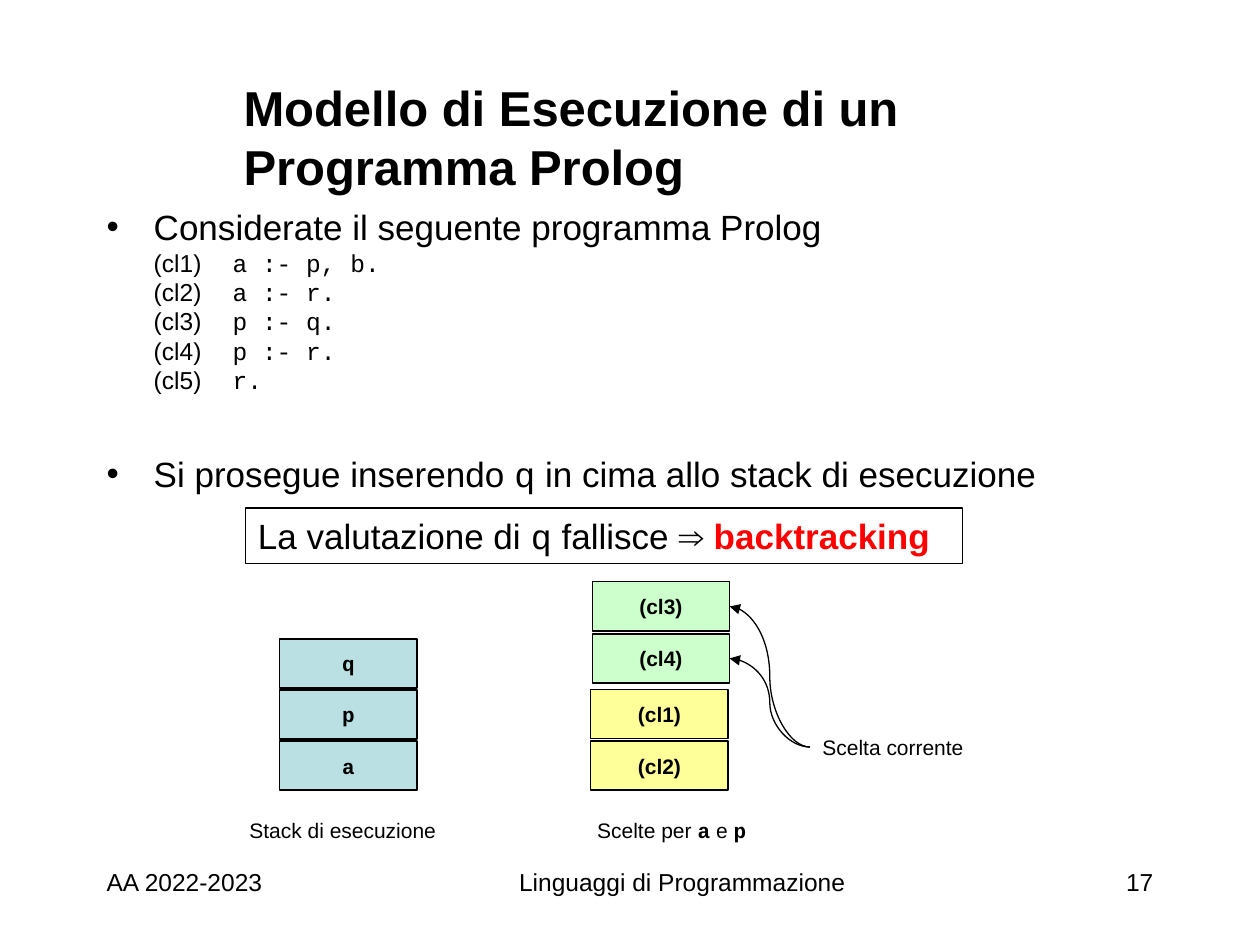
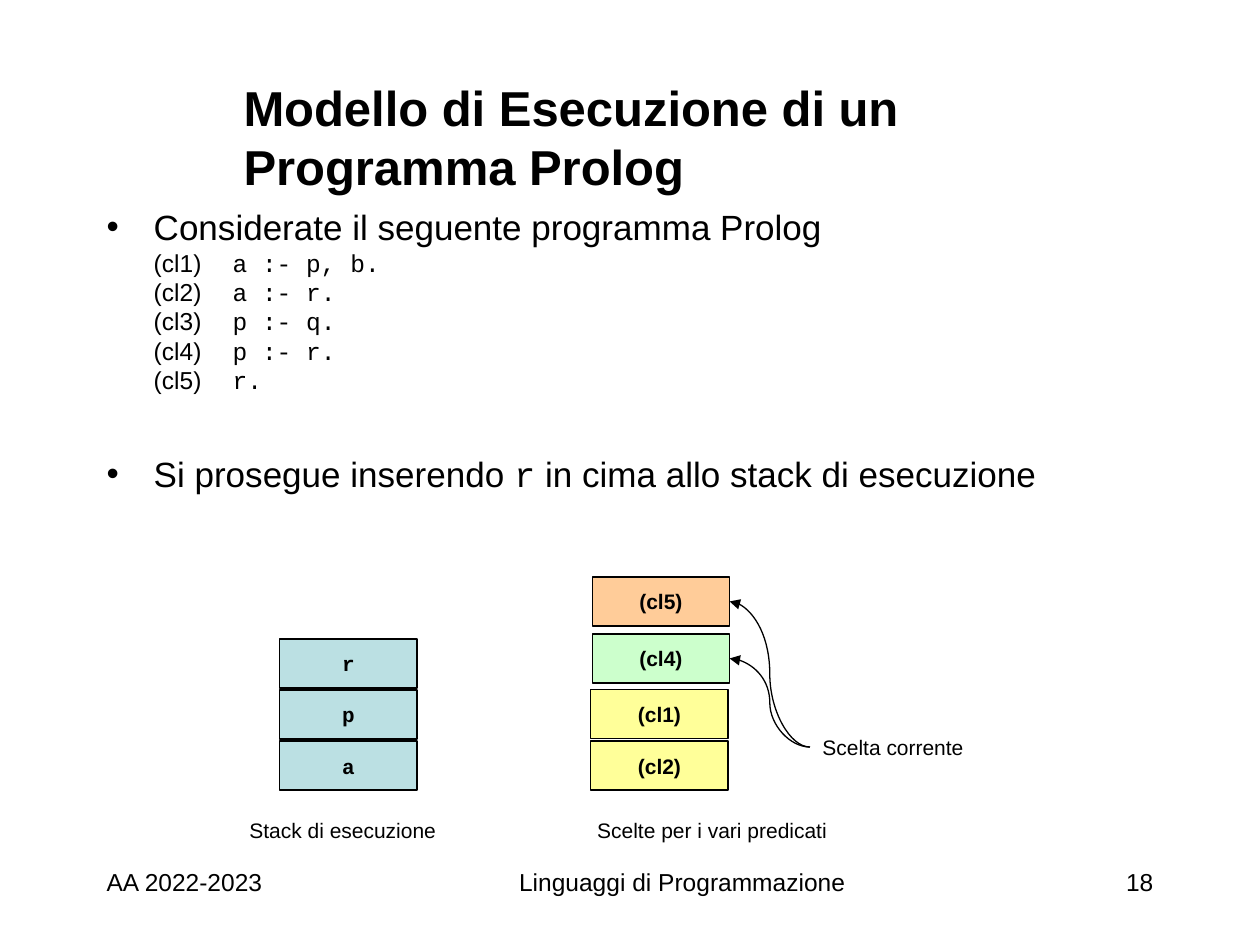
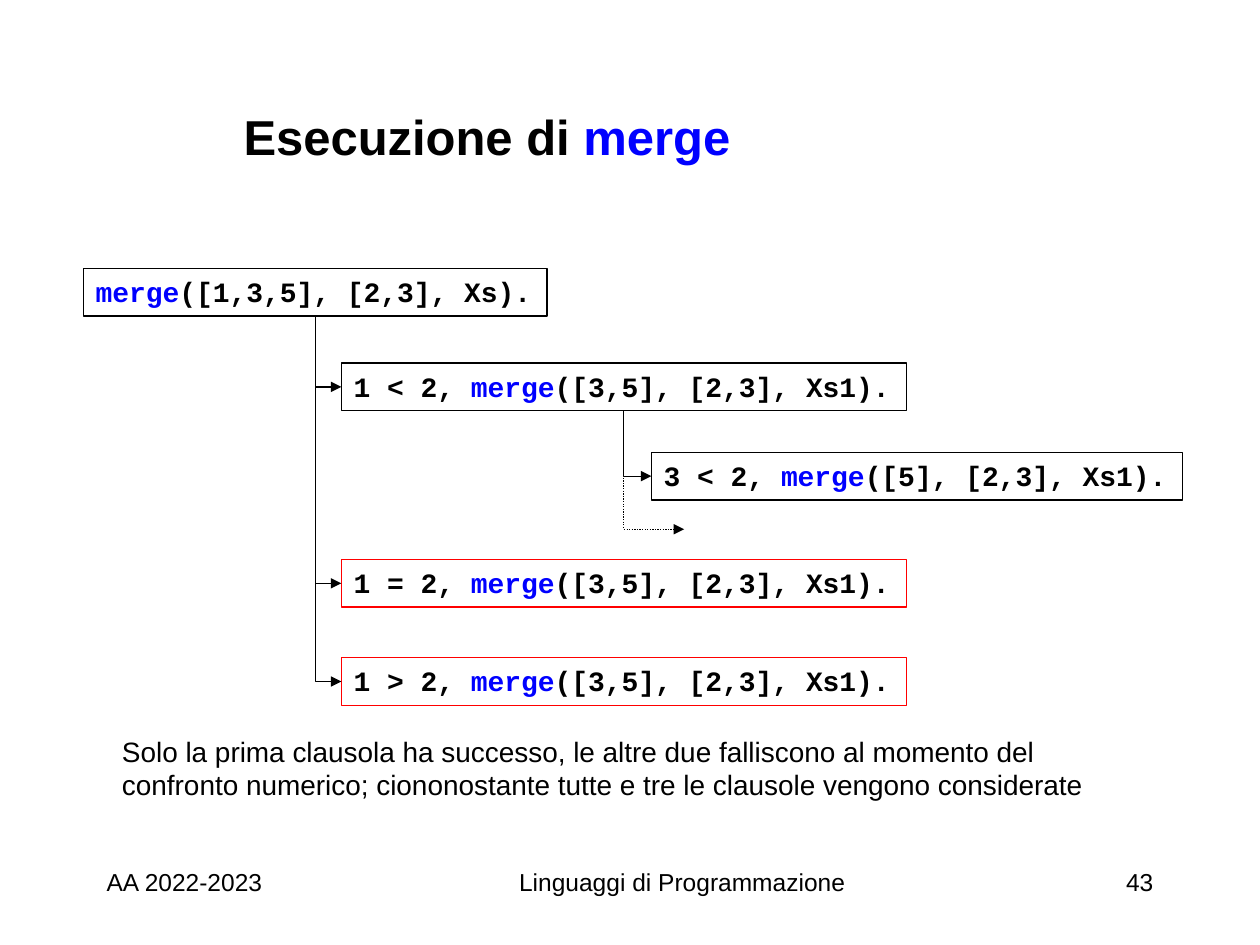
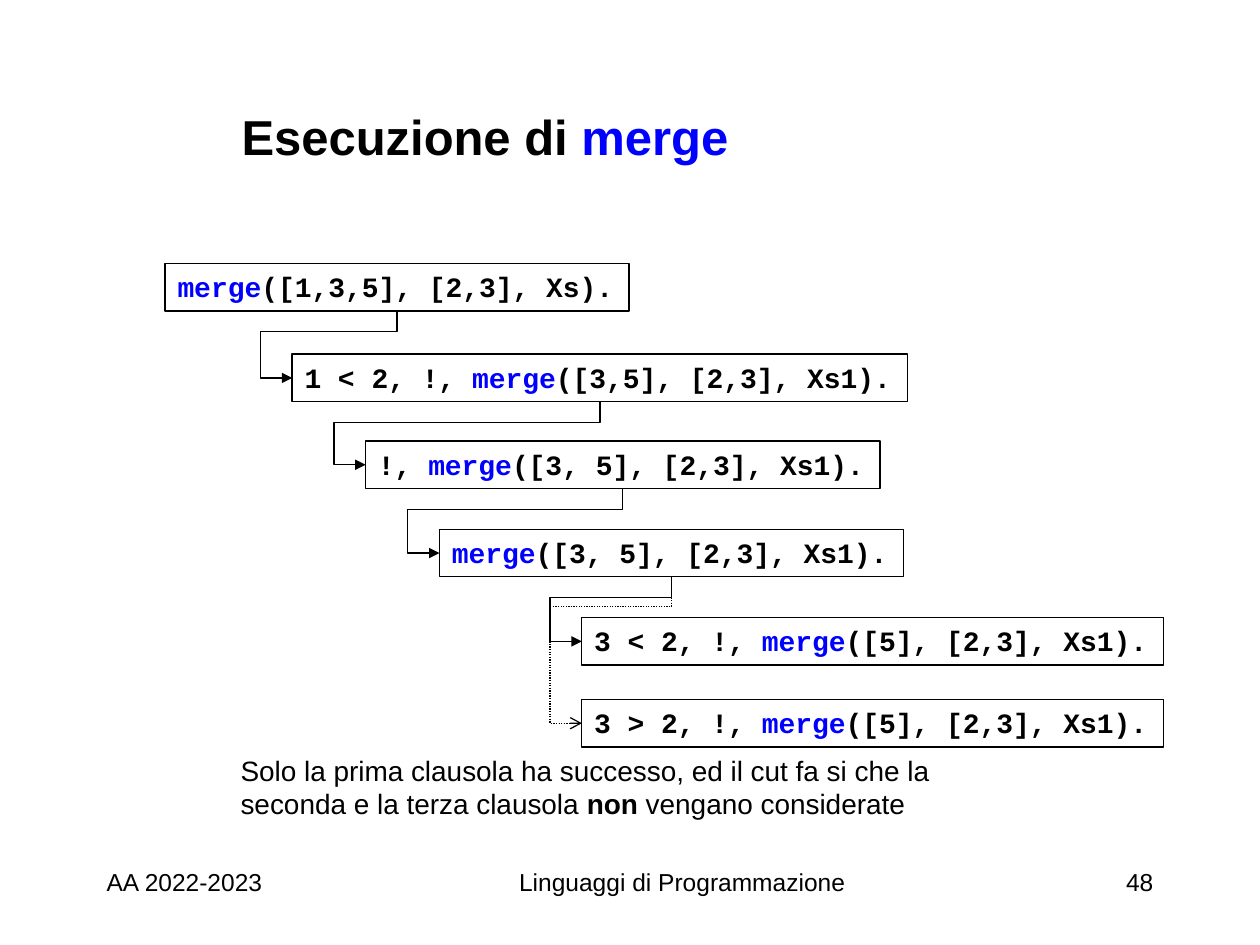
from dataclasses import dataclass

from lxml.etree import SubElement
from pptx import Presentation
from pptx.dml.color import RGBColor
from pptx.enum.dml import MSO_LINE
from pptx.enum.shapes import MSO_CONNECTOR as CONN, MSO_SHAPE as SHAPE
from pptx.enum.text import MSO_ANCHOR as ANCHOR, PP_ALIGN as ALIGN
from pptx.oxml.ns import qn
from pptx.util import Cm, Pt


@dataclass(frozen=True)
class Theme:
    sans: str = "Arial"
    mono: str = "Courier New"
    black: str = "000000"
    red: str = "FF0000"
    blue: str = "0000FF"
    goal: str = "BBE0E3"
    yellow: str = "FFFF99"
    green: str = "CCFFCC"
    orange: str = "FFCC99"
    title: int = 28
    body: int = 20
    code: int = 16
    small: int = 14
    label: int = 12
    line: float = 0.75


T = Theme()
MONO = {"font": T.mono}
MONO_BOLD = {"font": T.mono, "bold": True}
MERGE = ("merge", {"color": T.blue})


def bottom(s):
    """Middle of the lower edge, in cm."""
    return (s.left + s.width / 2) / Cm(1), (s.top + s.height) / Cm(1)


def left(s):
    return s.left / Cm(1), (s.top + s.height / 2) / Cm(1)


def right(s):
    return (s.left + s.width) / Cm(1), (s.top + s.height / 2) / Cm(1)


class Deck:
    """Holds the style and the current slide; all lengths are in cm."""

    def __init__(self, theme):
        self.t = theme
        self.prs = Presentation()
        self.prs.slide_width, self.prs.slide_height = Cm(25.4), Cm(19.05)
        self.slide = None

    # Text
    def add_runs(self, p, parts, **base):
        """Each part is a string, or a pair of string and run style."""
        for part in parts:
            text, own = (part, {}) if isinstance(part, str) else part
            style = {"font": self.t.sans, "size": self.t.small, "bold": False,
                     "color": self.t.black, **base, **own}
            for i, line in enumerate(text.split("\n")):
                if i:
                    p.add_line_break()
                if not line:
                    continue
                r = p.add_run()
                r.text = line
                r.font.name = style["font"]
                r.font.size = Pt(style["size"])
                r.font.bold = style["bold"]
                r.font.color.rgb = RGBColor.from_string(style["color"])

    def text(self, x, y, w, h, parts, align=ALIGN.LEFT, wrap=True,
             anchor=ANCHOR.TOP, **base):
        s = self.slide.shapes.add_textbox(Cm(x), Cm(y), Cm(w), Cm(h))
        tf = s.text_frame
        tf.word_wrap, tf.vertical_anchor = wrap, anchor
        tf.paragraphs[0].alignment = align
        self.add_runs(tf.paragraphs[0], parts, **base)
        return s

    def bullets(self, x, y, w, h, items, gap):
        tf = self.text(x, y, w, h, []).text_frame
        for i, parts in enumerate(items):
            p = tf.add_paragraph() if i else tf.paragraphs[0]
            p.space_before = Pt(gap if i else 0)
            pPr = p._p.get_or_add_pPr()
            pPr.set("marL", str(Cm(0.95)))
            pPr.set("indent", str(-Cm(0.95)))
            pPr.set("defTabSz", str(Cm(2.54)))
            SubElement(pPr, qn("a:buFont")).set("typeface", self.t.sans)
            SubElement(pPr, qn("a:buChar")).set("char", "•")
            self.add_runs(p, parts, size=self.t.body)

    # Slide frame
    def new_slide(self, number, title, title_x=4.66):
        self.slide = self.prs.slides.add_slide(self.prs.slide_layouts[6])
        self.text(title_x, 1.69, 18.84, 2.12, title, anchor=ANCHOR.MIDDLE,
                  size=self.t.title, bold=True)
        for x, w, text, align in (
                (1.9, 6.35, "AA 2022-2023", ALIGN.LEFT),
                (8.04, 11.43, "Linguaggi di Programmazione", ALIGN.CENTER),
                (18.42, 5.08, str(number), ALIGN.RIGHT)):
            self.text(x, 17.36, w, 1.27, [text], align)

    # Boxes
    def box(self, x, y, w, h, parts, fill=None, line=T.black,
            align=ALIGN.LEFT, wrap=False, **base):
        s = self.slide.shapes.add_shape(SHAPE.RECTANGLE,
                                        Cm(x), Cm(y), Cm(w), Cm(h))
        s.shadow.inherit = False
        if fill:
            s.fill.solid()
            s.fill.fore_color.rgb = RGBColor.from_string(fill)
        else:
            s.fill.background()
        s.line.color.rgb = RGBColor.from_string(line)
        s.line.width = Pt(self.t.line)
        tf = s.text_frame
        tf.word_wrap = wrap
        tf.vertical_anchor = ANCHOR.MIDDLE if fill else ANCHOR.TOP
        tf.paragraphs[0].alignment = align
        self.add_runs(tf.paragraphs[0], parts, **base)
        return s

    def cell(self, x, y, text, fill, font=T.sans):
        return self.box(x, y, 2.77, 0.99, [text], fill, align=ALIGN.CENTER,
                        font=font, size=self.t.label, bold=True)

    def goal(self, x, y, before, args, line=T.black):
        """A call of merge in a box as wide as its text."""
        chars = len(before + MERGE[0] + args)
        return self.box(x, y, 0.34 * chars + 0.51, 0.96, [before, MERGE, args],
                        line=line, font=self.t.mono, size=self.t.code,
                        bold=True)

    # Connectors
    def finish(self, c, dotted=False, head="triangle"):
        c.line.color.rgb = RGBColor.from_string(self.t.black)
        c.line.width = Pt(self.t.line)
        if dotted:
            c.line.dash_style = MSO_LINE.ROUND_DOT
        spPr = c._element.spPr
        SubElement(spPr.find(qn("a:ln")), qn("a:tailEnd")).set("type", head)
        SubElement(spPr, qn("a:effectLst"))

    def curve(self, start, end):
        c = self.slide.shapes.add_connector(
            CONN.CURVE, *(Cm(v) for v in start + end))
        self.finish(c)

    def elbow(self, start, end, drop=0.42, overhang=0.64, **look):
        """Leaves downwards; goes right directly, or left past the end."""
        (x1, y1), (x2, y2) = start, end
        cx, cy = (x1 + x2) / 2, (y1 + y2) / 2
        w, h = abs(x2 - x1), y2 - y1
        # A quarter turn swaps width and height around the centre
        c = self.slide.shapes.add_connector(
            CONN.ELBOW, Cm(cx - h / 2), Cm(cy - w / 2),
            Cm(cx + h / 2), Cm(cy + w / 2))
        spPr = c._element.spPr
        xfrm, geom = spPr.find(qn("a:xfrm")), spPr.find(qn("a:prstGeom"))
        if x2 > x1:
            xfrm.set("rot", str(270 * 60000))
            xfrm.set("flipH", "1")
            geom.set("prst", "bentConnector2")
        else:
            xfrm.set("rot", str(90 * 60000))
            geom.set("prst", "bentConnector4")
            av = geom.find(qn("a:avLst"))
            if av is None:
                av = SubElement(geom, qn("a:avLst"))
            for name, ratio in (("adj1", drop / h), ("adj2", 1 + overhang / w)):
                gd = SubElement(av, qn("a:gd"))
                gd.set("name", name)
                gd.set("fmla", f"val {round(ratio * 100000)}")
        self.finish(c, **look)


# Prolog execution model: program, goal stack and choice stack
CLAUSES = ["a :- p, b.", "a :- r.", "p :- q.", "p :- r.", "r."]


def stack_slide(d, number, pushed, choice, choice_fill, choice_y, caption,
                caption_w):
    d.new_slide(number, ["Modello di Esecuzione di un Programma Prolog"])
    program = ["Considerate il seguente programma Prolog"]
    for i, clause in enumerate(CLAUSES, 1):
        program += [(f"\n(cl{i})\t", {"size": T.small}),
                    (clause, {"font": T.mono, "size": T.small})]
    pushing = ["Si prosegue inserendo ", (pushed, MONO),
               " in cima allo stack di esecuzione"]
    d.bullets(1.9, 4.02, 21.59, 6.93, [program, pushing], gap=33)

    for i, name in enumerate(["a", "p", pushed]):
        d.cell(5.64, 14.94 - 1.03 * i, name, T.goal, T.mono)
    d.cell(11.91, 14.94, "(cl2)", T.yellow)
    d.cell(11.91, 13.9, "(cl1)", T.yellow)
    current = [d.cell(11.94, 12.78, "(cl4)", T.green),
               d.cell(11.94, choice_y, choice, choice_fill)]
    for s in current:
        d.curve((16.33, 15.06), right(s))

    for x, y, w, parts in ((4.78, 16.36, 4.55, ["Stack di esecuzione"]),
                           (11.79, 16.36, caption_w, caption),
                           (16.33, 14.68, 4.52, ["Scelta corrente"])):
        d.text(x, y, w, 0.76, parts, size=T.label)


d = Deck(T)

# Slide 1: q is pushed and fails
stack_slide(d, 17, "q", "(cl3)", T.green, 11.73,
            ["Scelte per ", ("a", MONO_BOLD), " e ", ("p", MONO_BOLD)], 3.78)
d.box(4.95, 10.24, 14.45, 1.12,
      ["La valutazione di ", ("q", MONO), " fallisce ⇒ ",
       ("backtracking", {"color": T.red, "bold": True})],
      wrap=True, size=T.body)

# Slide 2: r is pushed
stack_slide(d, 18, "r", "(cl5)", T.orange, 11.63,
            ["Scelte per i vari predicati"], 5.74)

# Slide 3: merge without cut
d.new_slide(43, ["Esecuzione di ", MERGE])
root = d.goal(1.68, 5.41, "", "([1,3,5], [2,3], Xs).")
tries = [d.goal(6.88, y, f"1 {op} 2, ", "([3,5], [2,3], Xs1).", line)
         for y, op, line in ((7.32, "<", T.black), (11.28, "=", T.red),
                             (13.26, ">", T.red))]
for s in tries:
    d.elbow(bottom(root), left(s))
nested = d.goal(13.13, 9.12, "3 < 2, ", "([5], [2,3], Xs1).")
d.elbow(bottom(tries[0]), left(nested))
d.elbow(bottom(tries[0]), (13.79, 10.67), dotted=True)
d.text(2.21, 14.68, 19.94, 1.63,
       ["Solo la prima clausola ha successo, le altre due falliscono al "
        "momento del\nconfronto numerico; ciononostante tutte e tre le "
        "clausole vengono considerate"], wrap=False, size=T.code)

# Slide 4: merge with cut
d.new_slide(48, ["Esecuzione di ", MERGE], title_x=4.62)
steps = [d.goal(*step) for step in (
    (3.33, 5.31, "", "([1,3,5], [2,3], Xs)."),
    (5.89, 7.14, "1 < 2, !, ", "([3,5], [2,3], Xs1)."),
    (7.37, 8.89, "!, ", "([3, 5], [2,3], Xs1)."),
    (8.86, 10.67, "", "([3, 5], [2,3], Xs1)."),
    (11.73, 12.45, "3 < 2, !, ", "([5], [2,3], Xs1)."))]
for a, b in zip(steps, steps[1:]):
    d.elbow(bottom(a), left(b))
skipped = d.goal(11.73, 14.1, "3 > 2, !, ", "([5], [2,3], Xs1).")
d.elbow(bottom(steps[3]), left(skipped), drop=0.6, dotted=True, head="arrow")
d.text(4.6, 15.06, 14.45, 1.63,
       ["Solo la prima clausola ha successo, ed il cut fa si che la\n"
        "seconda e la terza clausola ", ("non", {"bold": True}),
        " vengano considerate"], wrap=False, size=T.code)

d.prs.save("out.pptx")
